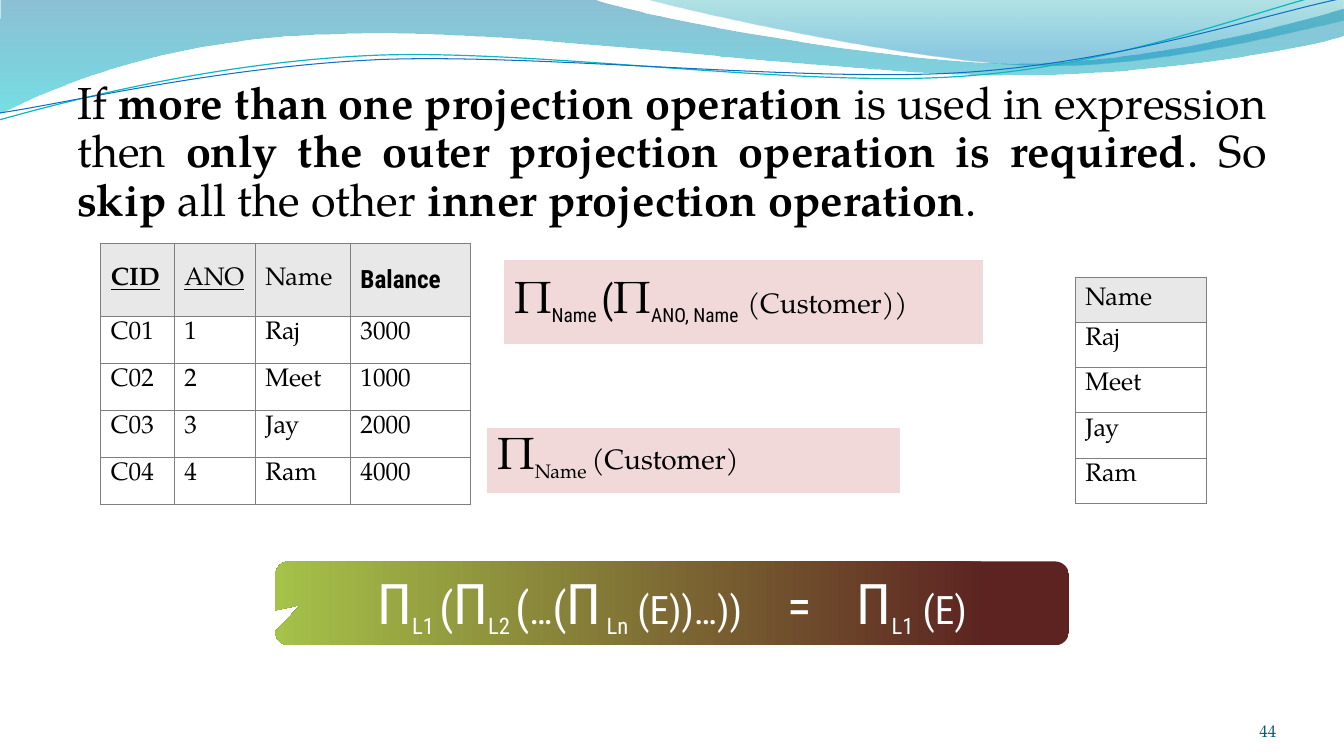
from pptx import Presentation, util as u
from pptx.dml.color import RGBColor
from pptx.enum import shapes, text
from pptx.oxml import parse_xml
from pptx.oxml.ns import nsdecls, qn

SERIF, CONDENSED = "TeX Gyre Pagella", "Roboto Condensed"
BLACK, WHITE, HEADER, BORDER, PINK = "000000", "FFFFFF", "E8E8E8", "7F7F7F", "F0D9D8"

# Wave outlines: pairs are straight segments, sixes are Bézier curves
BACK_WAVE = [(0, 0), (422.6, -0.7), (456.5, 12.2, 636.5, 45.4, 727.9, 45.4),
             (818.6, 45.4, 919.4, 18.7, 959.8, 6.5), (960.5, 25.9),
             (943.9, 31.7, 834.5, 54.7, 715.7, 54),
             (596.9, 54, 366.5, 20.2, 247, 24.5),
             (123.1, 25.9, 43.9, 59.8, -0.7, 81.4)]
FRONT_WAVE = [(460, -0.7), (488.9, 7.9, 654.5, 44.6, 738, 46.8),
              (820.8, 49.7, 923, 23, 959.8, 15.1), (959.8, 0)]
TEAL_LINE = [(-0.7, 85.7), (46.1, 72.7, 151.9, 44.6, 265.7, 39.6),
             (379.4, 34.6, 568.1, 62.6, 684, 54.7),
             (799.2, 47.5, 900.7, 5.8, 958.3, -7.2)]
BLUE_LINE = [(0, 80.6), (45.4, 74.2, 157, 47.5, 272.2, 42.5),
             (386.6, 38.2, 573.1, 59, 687.6, 51.8),
             (802.1, 44.6, 903.6, 10.1, 959.8, -1.4)]


def rgb(value):
    return RGBColor.from_string(value)


def write(paragraph, content, size=18, font=SERIF, color=BLACK, bold=False,
          underline=False, lowered=False, spacing=0):
    run = paragraph.add_run()
    run.text = content
    run.font.size, run.font.name = u.Pt(size), font
    run.font.bold, run.font.underline = bold, underline
    run.font.color.rgb = rgb(color)
    properties = run._r.get_or_add_rPr()
    if lowered:
        properties.set("baseline", "-25000")
    if spacing:
        properties.set("spc", str(spacing * 100))


def gradient(shape, stops, angle):
    """Fill with two stops of (position, colour, opacity percent)."""
    shape.fill.gradient()
    shape.fill.gradient_angle = angle
    for stop, (position, color, opacity) in zip(shape.fill.gradient_stops, stops):
        stop.position = position
        stop.color.rgb = rgb(color)
    for element, (_, _, opacity) in zip(shape.element.iter(qn("a:srgbClr")), stops):
        if opacity < 100:
            element.append(parse_xml(
                f'<a:alpha {nsdecls("a")} val="{opacity * 1000}"/>'))


def add_wave(slide, outline, closed):
    anchors = [(u.Pt(segment[-2]), u.Pt(segment[-1])) for segment in outline]
    builder = slide.shapes.build_freeform(*anchors[0], scale=1.0)
    builder.add_line_segments(anchors[1:], close=closed)
    shape = builder.convert_to_shape()
    shape.shadow.inherit = False
    # Bend the segments that have control points
    lines = list(shape.element.iter(qn("a:lnTo")))
    for line, segment in zip(lines, outline[1:]):
        if len(segment) == 6:
            points = "".join(
                f'<a:pt x="{u.Pt(x) - shape.left}" y="{u.Pt(y) - shape.top}"/>'
                for x, y in zip(segment[::2], segment[1::2]))
            line.getparent().replace(line, parse_xml(
                f'<a:cubicBezTo {nsdecls("a")}>{points}</a:cubicBezTo>'))
    return shape


def add_header_waves(slide):
    for outline, stops in (
            (BACK_WAVE, [(0, "0074A1", 45), (1, "00C6CF", 55)]),
            (FRONT_WAVE, [(0, "00A1A9", 30), (0.8, "008BBF", 45)])):
        wave = add_wave(slide, outline, True)
        gradient(wave, stops, 270)
        wave.line.fill.background()
    for outline, color, width in ((TEAL_LINE, "0AB8BF", 0.85),
                                  (BLUE_LINE, "0F6FC6", 0.75)):
        wave = add_wave(slide, outline, False)
        wave.fill.background()
        wave.line.color.rgb = rgb(color)
        wave.line.width = u.Pt(width)


def add_text(slide, box, runs, align, anchor=text.MSO_ANCHOR.TOP, inset=True,
             line_spacing=1.0):
    frame = slide.shapes.add_textbox(*map(u.Pt, box)).text_frame
    frame.word_wrap = True
    frame.vertical_anchor = anchor
    if not inset:
        frame.margin_left = frame.margin_right = 0
        frame.margin_top = frame.margin_bottom = 0
    paragraph = frame.paragraphs[0]
    paragraph.alignment = align
    paragraph.line_spacing = line_spacing
    for content, style in runs:
        write(paragraph, content, **style)


def set_cell(cell, runs, fill, border, anchor, margin):
    cell.fill.solid()
    cell.fill.fore_color.rgb = rgb(fill)
    cell.vertical_anchor = anchor
    cell.margin_top = cell.margin_bottom = u.Pt(margin)
    paint = (f'<a:solidFill><a:srgbClr val="{border}"/></a:solidFill>'
             if border else "<a:noFill/>")
    for index, side in enumerate("LRTB"):
        cell._tc.get_or_add_tcPr().insert(index, parse_xml(
            f'<a:ln{side} {nsdecls("a")} w="9525">{paint}</a:ln{side}>'))
    for content, style in runs:
        write(cell.text_frame.paragraphs[0], content, **style)


def add_grid(slide, left, top, widths, heights, rows, head_fill=HEADER,
             border=BORDER, margin=3.6):
    """Place a table whose cells are lists of runs; the first row is the header."""
    table = slide.shapes.add_table(
        len(heights), len(widths), u.Pt(left), u.Pt(top),
        u.Pt(sum(widths)), u.Pt(sum(heights))).table
    table.first_row = table.horz_banding = False
    for column, width in zip(table.columns, widths):
        column.width = u.Pt(width)
    for index, (row, height) in enumerate(zip(table.rows, heights)):
        row.height = u.Pt(height)
        fill = WHITE if index else head_fill
        anchor = text.MSO_ANCHOR.TOP if index else text.MSO_ANCHOR.MIDDLE
        for cell, runs in zip(row.cells, rows[index]):
            set_cell(cell, runs, fill, border, anchor, margin)


def plain(*values):
    return [[(value, {})] for value in values]


def add_formula(slide, left, top, width, height, runs):
    add_grid(slide, left, top, [width], [height], [[runs]], PINK, None, margin=2)


def add_rule(slide, box, runs):
    callout = slide.shapes.add_shape(
        shapes.MSO_SHAPE.ROUNDED_RECTANGULAR_CALLOUT, *map(u.Pt, box))
    for index, value in enumerate((-0.468, 0.019, 0.167)):
        callout.adjustments[index] = value
    callout.shadow.inherit = False
    gradient(callout, [(0.1, "5C2321", 100), (1, "A5C249", 100)], 180)
    callout.line.fill.background()
    frame = callout.text_frame
    frame.word_wrap = True
    frame.vertical_anchor = text.MSO_ANCHOR.MIDDLE
    frame.paragraphs[0].alignment = text.PP_ALIGN.CENTER
    for content, style in runs:
        write(frame.paragraphs[0], content, font=CONDENSED, color=WHITE, **style)


def build_projection_slide(presentation):
    slide = presentation.slides.add_slide(presentation.slide_layouts[6])
    add_header_waves(slide)

    # Statement and page number
    statement = ["If ", "more than one projection operation ",
                 "is used in expression then ",
                 "only the outer projection operation is required", ". So ",
                 "skip", " all the other ", "inner projection operation", "."]
    add_text(slide, (48, 54, 864, 444),
             [(part, dict(size=32, bold=index % 2 == 1))
              for index, part in enumerate(statement)],
             text.PP_ALIGN.JUSTIFY, line_spacing=0.9)
    add_text(slide, (831.6, 500.4, 80, 28.8), [("44", dict(size=12, color="045D75"))],
             text.PP_ALIGN.RIGHT, text.MSO_ANCHOR.BOTTOM, inset=False)

    # Customer table and its projection
    customers = [("C01", "1", "Raj", "3000"), ("C02", "2", "Meet", "1000"),
                 ("C03", "3", "Jay", "2000"), ("C04", "4", "Ram", "4000")]
    header = [[("CID", dict(bold=True, underline=True))],
              [("ANO", dict(underline=True))], [("Name", {})],
              [("Balance", dict(font=CONDENSED, bold=True))]]
    add_grid(slide, 72, 174, [52.5, 57.8, 68, 85.7], [52] + [33.6] * 4,
             [header] + [plain(*customer) for customer in customers])
    add_grid(slide, 768, 198, [93.6], [32.3] * 5,
             [plain("Name")] + [plain(customer[2]) for customer in customers])

    # Nested and simplified expressions
    pi = ("Π", dict(size=32))
    lowered = dict(size=24, font=CONDENSED, lowered=True)
    add_formula(slide, 360, 186, 342, 60, [
        pi, ("Name ", lowered), ("(", dict(size=28, font=CONDENSED)), pi,
        ("ANO, Name", lowered), (" ", dict(spacing=3, **lowered)),
        ("(Customer))", dict(size=20))])
    add_formula(slide, 348, 306, 294.8, 46, [
        pi, ("Name ", dict(size=24, lowered=True)), ("(Customer)", dict(size=20))])

    # General rule
    big_pi, bracket = ("Π", dict(size=40)), ("(", dict(size=32))
    index, body = dict(size=28, lowered=True), dict(size=28)
    gap = (" ", dict(size=28, spacing=26))
    add_rule(slide, (196.6, 401, 567, 60), [
        big_pi, ("L1 ", index), bracket, big_pi, ("L2 ", index), bracket,
        ("…", body), bracket, big_pi, (" Ln", index), (" (E))…))", body), gap,
        ("=", dict(size=36)), gap, big_pi, ("L1", index), (" (E)", body)])


def main():
    presentation = Presentation()
    presentation.slide_width, presentation.slide_height = u.Pt(960), u.Pt(540)
    build_projection_slide(presentation)
    presentation.save("out.pptx")


if __name__ == "__main__":
    main()
